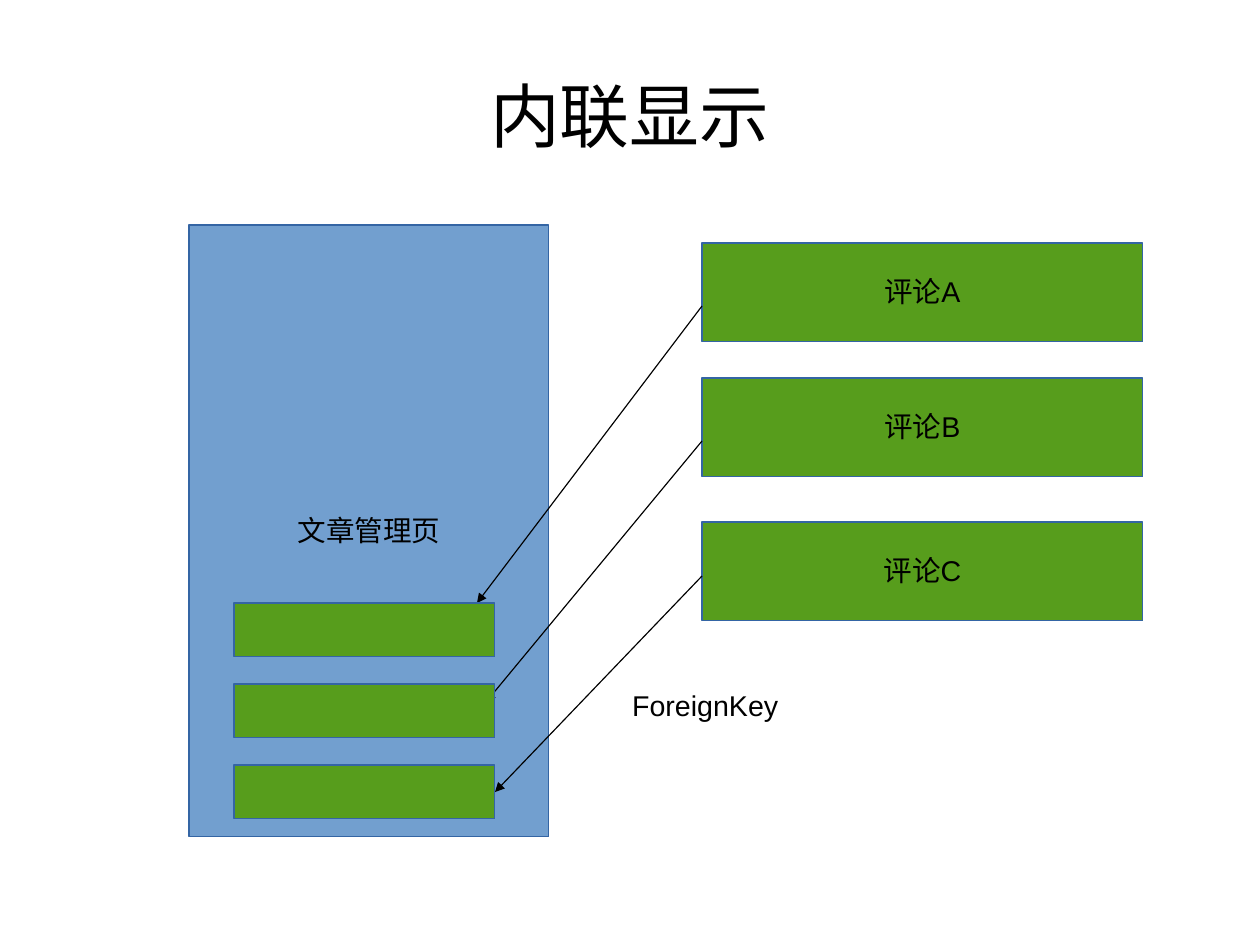
from lxml.etree import SubElement
from pptx import Presentation
from pptx.dml.color import RGBColor
from pptx.enum.shapes import MSO_CONNECTOR, MSO_SHAPE
from pptx.enum.text import MSO_ANCHOR, PP_ALIGN
from pptx.oxml.ns import qn
from pptx.util import Cm, Inches, Pt

COLORS = {"page": "729FCF", "comment": "579D1C", "border": "3465A4", "ink": "000000"}
COLUMNS, ROWS = 140, 105
INLINE_TOP, INLINE_STEP = 67, 9
ARROW_TOP, ARROW_STEP = 34, 15

# Comment, top row of its card, grid point where its arrow ends
COMMENTS = [
    ("评论A", 27, (53, 67)),
    ("评论B", 42, (54, 78)),
    ("评论C", 58, (55, 88)),
]


def grid(*cells):
    """Turn grid columns and rows into lengths."""
    return [Cm(0.2 * cell) for cell in cells]


def color(name):
    return RGBColor.from_string(COLORS[name])


def write(shape, text, size=18, align=PP_ALIGN.CENTER, anchor=MSO_ANCHOR.MIDDLE,
          margins=(0.1, 0.06, 0.1, 0.05), wrap=False):
    frame = shape.text_frame
    frame.word_wrap = wrap
    frame.vertical_anchor = anchor
    (frame.margin_left, frame.margin_top,
     frame.margin_right, frame.margin_bottom) = map(Inches, margins)
    paragraph = frame.paragraphs[0]
    paragraph.text = text
    paragraph.alignment = align
    paragraph.line_spacing = 0.94
    paragraph.font.name = "Arial"
    paragraph.font.size = Pt(size)
    paragraph.font.color.rgb = color("ink")


def add_box(slide, fill, cells, text=None):
    box = slide.shapes.add_shape(MSO_SHAPE.RECTANGLE, *grid(*cells))
    box.shadow.inherit = False
    box.fill.solid()
    box.fill.fore_color.rgb = color(fill)
    box.line.color.rgb = color("border")
    box.line.width = Pt(0.75)
    if text:
        write(box, text)


def add_label(slide, cells, text, **style):
    write(slide.shapes.add_textbox(*grid(*cells)), text, **style)


def add_arrow(slide, start, end):
    arrow = slide.shapes.add_connector(MSO_CONNECTOR.STRAIGHT, *grid(*start, *end))
    arrow.line.color.rgb = color("ink")
    arrow.line.width = Pt(0.75)
    SubElement(arrow.line._get_or_add_ln(), qn("a:tailEnd"), type="triangle")
    SubElement(arrow._element.spPr, qn("a:effectLst"))


def main():
    presentation = Presentation()
    presentation.slide_width, presentation.slide_height = grid(COLUMNS, ROWS)
    slide = presentation.slides.add_slide(presentation.slide_layouts[6])

    add_label(slide, (7, 4.2, 126, 17.5), "内联显示", size=44,
              margins=(0, 0.04, 0, 0), wrap=True)
    add_box(slide, "page", (21, 25, 40, 68), "文章管理页")
    for index, (comment, card_top, arrow_end) in enumerate(COMMENTS):
        add_box(slide, "comment", (78, card_top, 49, 11), comment)
        add_arrow(slide, (78, ARROW_TOP + index * ARROW_STEP), arrow_end)
        add_box(slide, "comment", (26, INLINE_TOP + index * INLINE_STEP, 29, 6))
    add_label(slide, (69, 76, 18.7, 4.8), "ForeignKey", align=PP_ALIGN.LEFT,
              anchor=MSO_ANCHOR.TOP, margins=(0.1, 0.06, 0, 0.05))

    presentation.save("out.pptx")


if __name__ == "__main__":
    main()
